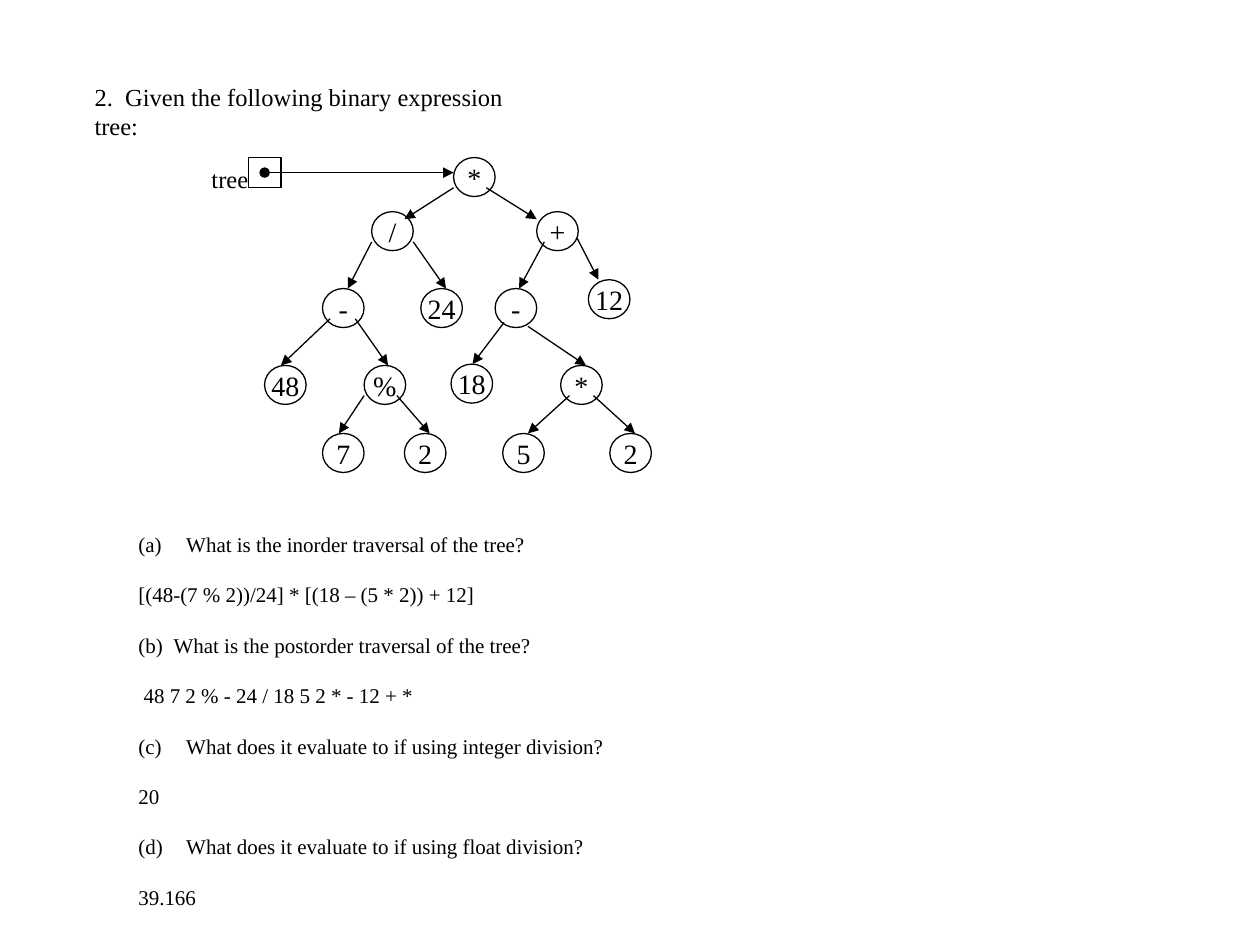
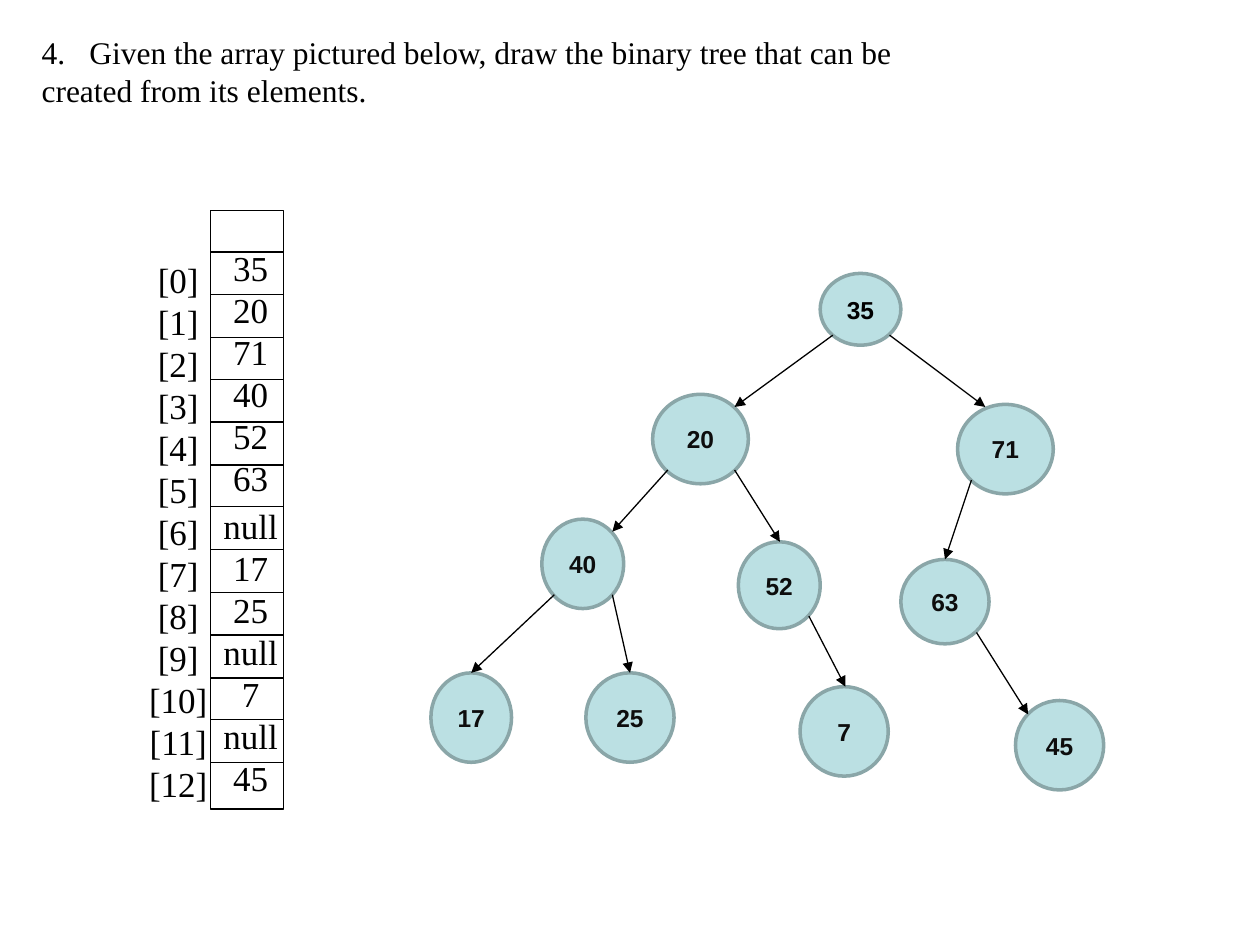
import pptx
import pptx.dml.color
import pptx.enum.shapes
import pptx.enum.text
import pptx.oxml.ns
import pptx.util
from lxml import etree

SCALE = 9144  # EMU per px, 100 px to the inch
SERIF, SANS = "Times New Roman", "Arial"
BLACK, DARK, TEAL, EDGE = "000000", "0D0D0D", "BBE0E3", "8AA6A8"
SHAPE = pptx.enum.shapes.MSO_SHAPE
ANCHOR = pptx.enum.text.MSO_ANCHOR
ALIGN = pptx.enum.text.PP_ALIGN
Pt = pptx.util.Pt


def px(n):
    return pptx.util.Emu(round(n * SCALE))


def rgb(value):
    return pptx.dml.color.RGBColor.from_string(value)


def add_xml(parent, tag, **attrs):
    return etree.SubElement(parent, pptx.oxml.ns.qn(tag), attrs)


def write(tf, text, size=12, font=SERIF, color=BLACK, bold=False,
          align=ALIGN.LEFT, before=0, number=None, hang=0, first=False):
    """Add one paragraph; number is a pair of numbering scheme and start."""
    p = tf.paragraphs[0] if first else tf.add_paragraph()
    p.alignment = align
    p.line_spacing = Pt(size * 1.2)
    p.space_before = Pt(before)
    if number:
        scheme, start = number
        pPr = p._p.get_or_add_pPr()
        pPr.set("marL", str(px(hang)))
        pPr.set("indent", str(-px(hang)))
        add_xml(pPr, "a:buAutoNum", type=scheme, startAt=str(start))
    r = p.add_run()
    r.text = text
    r.font.size, r.font.name, r.font.bold = Pt(size), font, bold
    r.font.color.rgb = rgb(color)


class Deck:
    def __init__(self):
        self.prs = pptx.Presentation()
        self.prs.slide_width, self.prs.slide_height = px(1000), px(750)
        self.s = None

    def new_slide(self):
        self.s = self.prs.slides.add_slide(self.prs.slide_layouts[5])

    def frame(self, tf, side=10, wrap=True, anchor=ANCHOR.TOP):
        tf.word_wrap, tf.vertical_anchor = wrap, anchor
        tf.auto_size = pptx.enum.text.MSO_AUTO_SIZE.NONE
        tf.margin_left = tf.margin_right = px(side)
        tf.margin_top = tf.margin_bottom = px(5)
        return tf

    def title(self, x, y, w, h):
        sp = self.s.shapes.title
        sp.left, sp.top, sp.width, sp.height = map(px, (x, y, w, h))
        return self.frame(sp.text_frame)

    def text(self, x, y, w, h, side=10):
        sp = self.s.shapes.add_textbox(*map(px, (x, y, w, h)))
        return self.frame(sp.text_frame, side)

    def shape(self, kind, x, y, w, h, fill=None, line=BLACK, weight=0.75):
        sp = self.s.shapes.add_shape(kind, *map(px, (x, y, w, h)))
        sp.shadow.inherit = False
        if fill:
            sp.fill.solid()
            sp.fill.fore_color.rgb = rgb(fill)
        else:
            sp.fill.background()
        sp.line.color.rgb, sp.line.width = rgb(line), Pt(weight)
        return sp

    def node(self, label, x, y, w, h, look, **fmt):
        sp = self.shape(SHAPE.OVAL, x, y, w, h, **look)
        tf = self.frame(sp.text_frame, 0, False, ANCHOR.MIDDLE)
        write(tf, label, align=ALIGN.CENTER, first=True, **fmt)

    def line(self, x1, y1, x2, y2, head=None, tail=None):
        c = self.s.shapes.add_connector(
            pptx.enum.shapes.MSO_CONNECTOR.STRAIGHT, *map(px, (x1, y1, x2, y2)))
        c.line.color.rgb, c.line.width = rgb(BLACK), Pt(0.75)
        ln = c.line._get_or_add_ln()
        if head:
            add_xml(ln, "a:headEnd", type=head)
        if tail:
            add_xml(ln, "a:tailEnd", type=tail)
        add_xml(c._element.spPr, "a:effectLst")

    def arrows(self, ends):
        for end in ends:
            self.line(*end, tail="triangle")


def expression_slide(deck):
    deck.new_slide()
    write(deck.title(65, 60, 372, 60),
          "2.  Given the following binary expression tree:", size=14, first=True)

    # Expression tree
    nodes = [
        ("*", 360, 125), ("/", 295, 168), ("+", 426, 168),
        ("-", 256, 229), ("24", 334, 229), ("-", 393, 229), ("12", 467, 222),
        ("48", 210, 290), ("%", 289, 290), ("18", 358, 289), ("*", 445, 290),
        ("7", 256, 344), ("2", 321, 344), ("5", 399, 344), ("2", 484, 344),
    ]
    for label, x, y in nodes:
        deck.node(label, x, y, 33, 31, {}, size=16)
    deck.arrows([
        (360, 149, 321, 174), (386, 149, 426, 174),
        (295, 192, 276, 229), (328, 192, 354, 229),
        (432, 192, 412, 229), (458, 189, 475, 222),
        (262, 253, 223, 290), (282, 253, 308, 290),
        (400, 256, 375, 289), (419, 259, 465, 290),
        (289, 314, 269, 344), (315, 314, 341, 344),
        (452, 314, 419, 344), (471, 314, 504, 344),
    ])

    # Pointer to the root
    deck.shape(SHAPE.RECTANGLE, 197, 125, 26, 24)
    write(deck.text(158, 125, 55, 33), "tree", size=14, first=True)
    deck.line(210, 137, 360, 137, head="oval", tail="triangle")

    # Questions, each with its answer
    questions = [
        ("What is the inorder traversal of the tree?",
         "[(48-(7 % 2))/24] * [(18 – (5 * 2)) + 12]", 38),
        ("What is the postorder traversal of the tree?",
         " 48 7 2 % - 24 / 18 5 2 * - 12 + *", 28),
        ("What does it evaluate to if using integer division?", "20", 38),
        ("What does it evaluate to if using float division?", "39.166", 38),
    ]
    tf = deck.text(100, 417, 420, 320)
    for i, (question, answer, hang) in enumerate(questions, 1):
        write(tf, question, number=("alphaLcParenBoth", i), hang=hang,
              before=14.4 if i > 1 else 0, first=i == 1)
        write(tf, answer, before=14.4)


def array_slide(deck):
    deck.new_slide()
    tf = deck.title(23, 21, 702, 71)
    write(tf, "Given the array pictured below, draw the binary tree that can be",
          size=18, number=("arabicPeriod", 4), hang=38, first=True)
    write(tf, "created from its elements.", size=18)

    # Array with its indexes
    values = ["35", "20", "71", "40", "52", "63", "null",
              "17", "25", "null", "7", "null", "45"]
    deck.shape(SHAPE.RECTANGLE, 167, 167, 58, 475)
    for i in range(len(values)):
        y = round(200 + 33.75 * i)
        deck.line(167, y, 225, y)
    index_tf = deck.text(108, 200, 67, 448, side=0)
    value_tf = deck.text(167, 191, 64, 448, side=0)
    for i, value in enumerate(values):
        fmt = dict(size=20, align=ALIGN.CENTER, first=i == 0)
        write(index_tf, f"[{i}]", **fmt)
        write(value_tf, value, before=3 if i == 6 else 0, **fmt)

    # Binary tree
    nodes = [
        ("35", 651, 217, 64, 57), ("20", 518, 313, 76, 71),
        ("71", 760, 321, 76, 71), ("40", 430, 412, 65, 71),
        ("52", 586, 430, 65, 69), ("63", 715, 444, 70, 67),
        ("17", 342, 534, 64, 71), ("25", 465, 534, 70, 71),
        ("7", 635, 545, 70, 71), ("45", 806, 556, 70, 71),
    ]
    look = dict(fill=TEAL, line=EDGE, weight=2)
    for label, *box in nodes:
        deck.node(label, *box, look, size=14, font=SANS, bold=True,
                  color=BLACK if label == "35" else DARK)
    deck.arrows([
        (661, 266, 583, 323), (706, 266, 782, 323),
        (530, 373, 486, 422), (583, 373, 619, 430), (771, 381, 750, 444),
        (440, 472, 374, 534), (486, 472, 500, 534),
        (642, 489, 671, 545), (775, 502, 816, 567),
    ])


def main():
    deck = Deck()
    expression_slide(deck)
    array_slide(deck)
    deck.prs.save("out.pptx")


if __name__ == "__main__":
    main()
